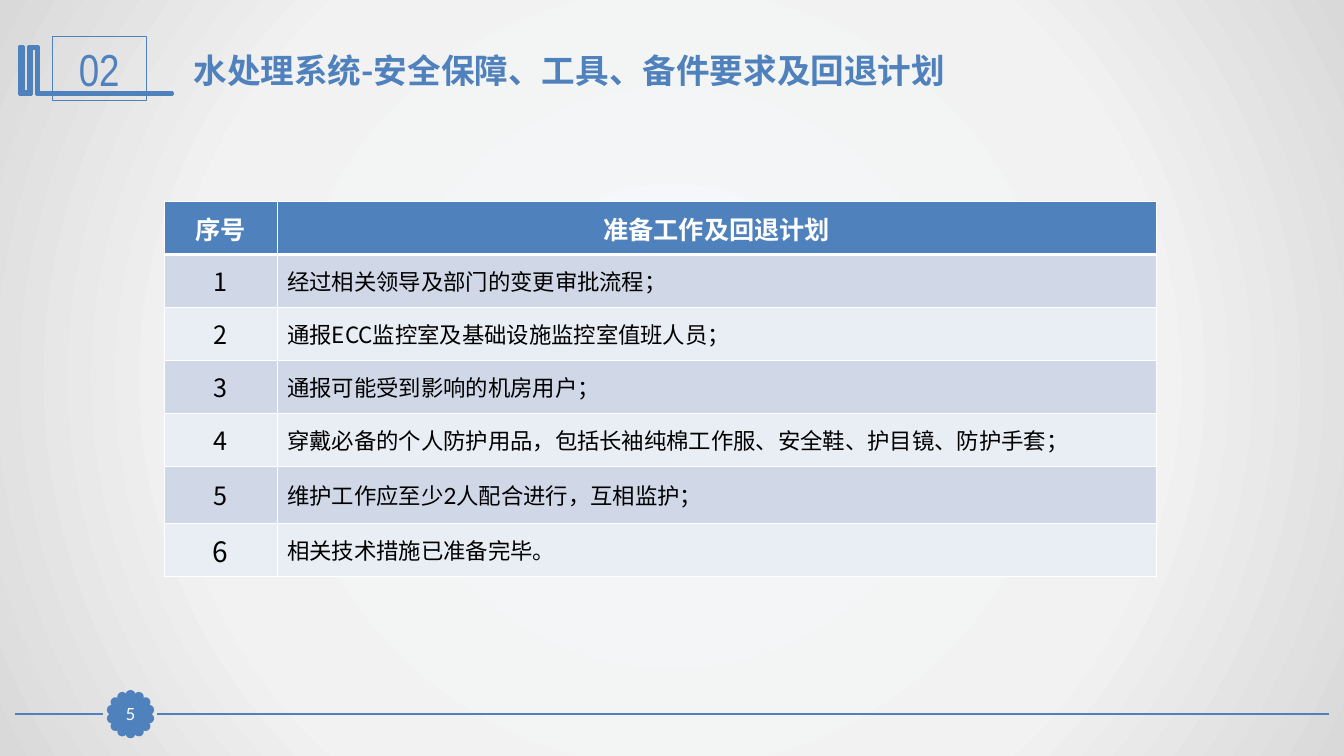
import math

import lxml.etree
import pptx
import pptx.dml.color
import pptx.enum.shapes
import pptx.enum.text
import pptx.oxml
import pptx.oxml.ns
import pptx.util

UNIT = pptx.util.Inches(0.1)
COLUMNS, ROWS = 133.33, 75
COLORS = {
    "blue": "4F81BD", "white": "FFFFFF", "black": "000000",
    "odd": "D0D8E8", "even": "E9EDF4",
    "center": "F6F9FC", "middle": "F2F2F2", "edge": "D9D9D9",
}
LATIN, CHINESE, NARROW = "Lato", "Noto Sans CJK SC", "Arial Narrow"
SHAPES = pptx.enum.shapes.MSO_SHAPE
CENTER = pptx.enum.text.PP_ALIGN.CENTER
LEFT = pptx.enum.text.PP_ALIGN.LEFT
MIDDLE = pptx.enum.text.MSO_ANCHOR.MIDDLE
TITLE = [("水处理系统-", CHINESE), ("安全保障、工具、备件要求及回退计划", LATIN)]
HEADINGS = ["序号", "准备工作及回退计划"]
TASKS = [
    [("经过相关领导及部门的变更审批流程；", LATIN)],
    [("通报", LATIN), ("ECC", CHINESE), ("监控室及基础设施监控室值班人员；", LATIN)],
    [("通报可能受到影响的机房用户；", LATIN)],
    [("穿戴必备的个人防护用品，包括长袖纯棉工作服、安全鞋、护目镜、防护手套；", LATIN)],
    [("维护工作应至少2人配合进行，互相监护；", LATIN)],
    [("相关技术措施已准备完毕。", LATIN)],
]
BRACKET = [(18, 0), (19, 0), (19, 46), (152, 46), (152, 48), (17, 48), (17, 2), (12, 2),
           (12, 48), (0, 48), (0, 0), (4, 0), (4, 45), (9, 45), (9, 0)]


def grid(*lengths):
    """Turn grid units into slide lengths."""
    return [pptx.util.Emu(round(length * UNIT)) for length in lengths]


def color(name):
    """Look up a palette colour."""
    return pptx.dml.color.RGBColor.from_string(COLORS[name])


def write(paragraph, parts, size, ink, bold=False, alignment=LEFT):
    """Write (text, font) parts into a paragraph."""
    paragraph.alignment = alignment
    for text, font in parts:
        run = paragraph.add_run()
        run.text = text
        run.font.name = font
        run.font.size = pptx.util.Pt(size)
        run.font.bold = bold
        run.font.color.rgb = color(ink)
        east_asian = lxml.etree.SubElement(run.font._element, pptx.oxml.ns.qn("a:ea"))
        east_asian.set("typeface", CHINESE)


def paint(shape, fill, width):
    """Give a shape a fill, or none, and a blue outline."""
    shape.shadow.inherit = False
    if fill:
        shape.fill.solid()
        shape.fill.fore_color.rgb = color(fill)
    else:
        shape.fill.background()
    shape.line.color.rgb = color("blue")
    shape.line.width = pptx.util.Pt(width)


def label(shape, text, font, size, ink):
    """Centre a text in a shape without margins."""
    frame = shape.text_frame
    frame.margin_left = frame.margin_right = frame.margin_top = frame.margin_bottom = 0
    frame.vertical_anchor = MIDDLE
    write(frame.paragraphs[0], [(text, font)], size, ink, alignment=CENTER)


def add_background(slide):
    """Fill the background with a radial gradient."""
    slide.background.fill.gradient()
    gradient = slide.element.find(".//" + pptx.oxml.ns.qn("a:gradFill"))
    stops = "".join(
        f'<a:gs pos="{share * 1000}"><a:srgbClr val="{COLORS[name]}"/></a:gs>'
        for share, name in [(0, "center"), (63, "middle"), (100, "edge")])
    radial = pptx.oxml.parse_xml(
        f'<a:gradFill {pptx.oxml.ns.nsdecls("a")} rotWithShape="1"><a:gsLst>{stops}</a:gsLst>'
        '<a:path path="circle"><a:fillToRect l="50000" t="50000" r="50000" b="50000"/>'
        '</a:path></a:gradFill>')
    gradient.getparent().replace(gradient, radial)


def add_footer(slide, left, top, width, number):
    """Draw the rule and the scalloped page badge on it."""
    center = left + 11.45
    for start, end in [(left, center - 2.75), (center + 2.65, left + width)]:
        rule = slide.shapes.add_connector(
            pptx.enum.shapes.MSO_CONNECTOR.STRAIGHT, *grid(start, top, end, top))
        rule.line.color.rgb = color("blue")
        rule.line.width = pptx.util.Pt(1.25)
        lxml.etree.SubElement(rule._element.spPr, pptx.oxml.ns.qn("a:effectLst"))
    petals, radius, size = 14, 1.9, 0.7
    for index in range(petals):
        angle = 2 * math.pi * index / petals
        petal = slide.shapes.add_shape(SHAPES.OVAL, *grid(
            center + radius * math.sin(angle) - size / 2,
            top - radius * math.cos(angle) - size / 2, size, size))
        paint(petal, "blue", 2)
    badge = slide.shapes.add_shape(
        SHAPES.RECTANGLE, *grid(center - 1.6, top - 1.55, 3.2, 3.1))
    paint(badge, "blue", 0.75)
    label(badge, number, LATIN, 12, "white")


def add_header(slide, left, top, section):
    """Place the bracket, the section number and the title."""
    builder = slide.shapes.build_freeform(*BRACKET[0], scale=UNIT / 10)
    builder.add_line_segments(BRACKET[1:], close=True)
    paint(builder.convert_to_shape(*grid(left, top + 1)), "blue", 2)
    box = slide.shapes.add_shape(
        SHAPES.RECTANGLE, *grid(left + 3.3, top, 9.3, 6.4))
    paint(box, None, 0.75)
    label(box, section, NARROW, 32, "blue")
    title = slide.shapes.title
    title.left, title.top, title.width, title.height = grid(left + 16.3, top + 0.8, 96.9, 5)
    frame = title.text_frame
    frame.word_wrap = True
    frame.auto_size = pptx.enum.text.MSO_AUTO_SIZE.NONE
    frame.vertical_anchor = pptx.enum.text.MSO_ANCHOR.TOP
    write(frame.paragraphs[0], TITLE, 24, "blue", bold=True)


def fill_cell(cell, fill, top_width, bottom_width):
    """Give a cell white borders and a fill."""
    properties = cell._tc.get_or_add_tcPr()
    for side, width in [("L", 1), ("R", 1), ("T", top_width), ("B", bottom_width)]:
        properties.append(pptx.oxml.parse_xml(
            f'<a:ln{side} {pptx.oxml.ns.nsdecls("a")} w="{pptx.util.Pt(width)}"><a:solidFill>'
            f'<a:srgbClr val="{COLORS["white"]}"/></a:solidFill></a:ln{side}>'))
    cell.fill.solid()
    cell.fill.fore_color.rgb = color(fill)
    cell.vertical_anchor = MIDDLE


def add_task_table(slide, left, top, width, height):
    """Build the numbered table of preparations."""
    count = len(TASKS)
    table = slide.shapes.add_table(
        count + 1, 2, *grid(left, top, width, height)).table
    table.columns[0].width, table.columns[1].width = grid(11.2, width - 11.2)
    for index, row in enumerate(table.rows):
        row.height = grid(5.7 if index == 5 else 5.25)[0]
        fill = "blue" if index == 0 else "odd" if index % 2 else "even"
        for cell in row.cells:
            fill_cell(cell, fill, 3 if index == 1 else 1, 3 if index == 0 else 1)
        number, task = [cell.text_frame.paragraphs[0] for cell in row.cells]
        if index == 0:
            for paragraph, heading in zip((number, task), HEADINGS):
                write(paragraph, [(heading, LATIN)], 18, "white", True, CENTER)
        else:
            size = 20 if index == count else 18
            write(number, [(str(index), CHINESE)], size, "black", alignment=CENTER)
            write(task, TASKS[index - 1], 16, "black")


def main():
    """Build and save the slide."""
    presentation = pptx.Presentation()
    presentation.slide_width, presentation.slide_height = grid(COLUMNS, ROWS)
    slide = presentation.slides.add_slide(presentation.slide_layouts[5])
    add_background(slide)
    add_footer(slide, 1.5, 70.85, 130.3, "5")
    add_header(slide, 1.9, 3.6, "02")
    add_task_table(slide, 16.3, 20, 98.4, 37.2)
    presentation.save("out.pptx")


if __name__ == "__main__":
    main()
